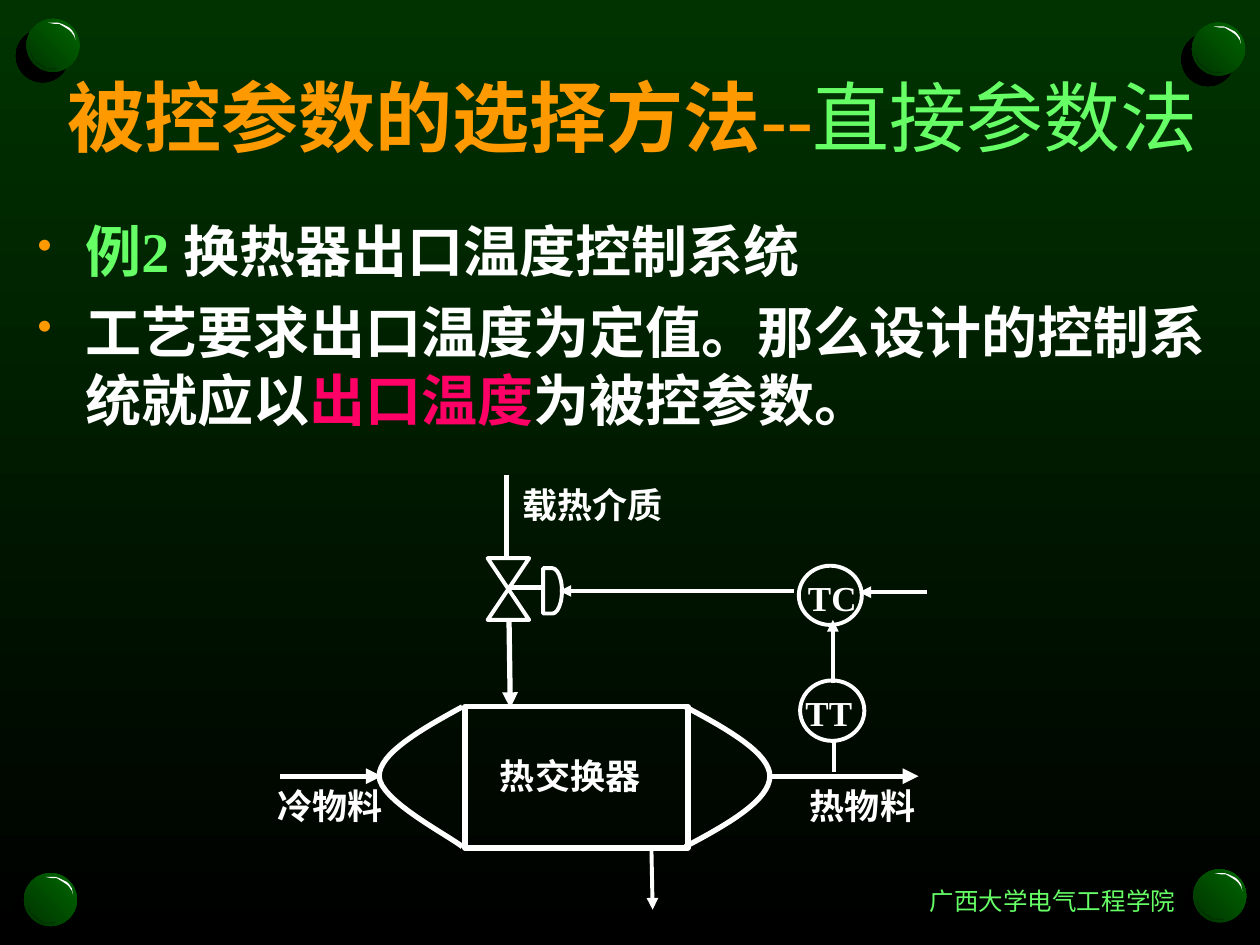
from lxml import etree
from pptx import Presentation
from pptx.dml.color import RGBColor
from pptx.enum import shapes as sh, text as tx
from pptx.oxml import parse_xml
from pptx.oxml.ns import qn
from pptx.util import Inches, Pt

NS = 'xmlns:a="http://schemas.openxmlformats.org/drawingml/2006/main"'
SERIF = "Times New Roman"
WHITE, ORANGE, LIME, PINK = "FFFFFF", "FF9900", "66FF66", "FF0066"
DARK, GREEN, BLACK = "003300", "006600", "000000"
THIN, THICK = 2.25, 3
AUTO = sh.MSO_SHAPE
SHINE = [(.17, .03), (.25, .03), (.28, .04), (.3, .05), (.34, .07), (.36, .09),
         (.38, .12), (.39, .17), (.38, .14), (.36, .11), (.34, .09), (.31, .07),
         (.26, .04), (.22, .04)]
SHADE = [(.26, .39), (.2, .39), (.16, .39), (.13, .37), (.1, .35), (.08, .33),
         (.06, .32), (.03, .25), (.04, .3), (.06, .33), (.08, .35), (.12, .38),
         (.15, .4), (.19, .4), (.23, .4)]


def rgb(code):
    """Turn a hex string into a colour."""
    return RGBColor.from_string(code)


def blend(fill, first, last, angle):
    """Apply a two-stop linear gradient."""
    fill.gradient()
    fill.gradient_angle = angle
    for stop, code in zip(fill.gradient_stops, (first, last)):
        stop.color.rgb = rgb(code)


def paint(shape, fill=None, width=None):
    """Give a shape a plain fill or a white outline."""
    shape.shadow.inherit = False
    if fill:
        shape.fill.solid()
        shape.fill.fore_color.rgb = rgb(fill)
    else:
        shape.fill.background()
    if width:
        shape.line.color.rgb = rgb(WHITE)
        shape.line.width = Pt(width)
    else:
        shape.line.fill.background()
    return shape


def form(slide, kind, box, fill=None, width=None):
    """Add a preset shape."""
    return paint(slide.shapes.add_shape(kind, *map(Inches, box)), fill, width)


def free(slide, dots, fill=None, width=None):
    """Add a polygon when filled, else an open path."""
    dots = [(Inches(x), Inches(y)) for x, y in dots]
    maker = slide.shapes.build_freeform(*dots[0])
    maker.add_line_segments(dots[1:], close=bool(fill))
    return paint(maker.convert_to_shape(), fill, width)


def curve(a, b, c, d, steps=16):
    """List the points of a cubic curve."""
    dots = []
    for i in range(steps + 1):
        t = i / steps
        s = 1 - t
        parts = (s ** 3, 3 * s * s * t, 3 * s * t * t, t ** 3)
        dots.append(tuple(sum(k * p[n] for k, p in zip(parts, (a, b, c, d)))
                          for n in (0, 1)))
    return dots


def line(slide, start, end, width, arrow=True):
    """Add a straight white line, with an arrowhead at its end."""
    link = slide.shapes.add_connector(
        sh.MSO_CONNECTOR.STRAIGHT, *map(Inches, (*start, *end)))
    link.line.color.rgb = rgb(WHITE)
    link.line.width = Pt(width)
    if arrow:
        etree.SubElement(link.line._get_or_add_ln(), qn("a:tailEnd"),
                         type="triangle")
    etree.SubElement(link._element.spPr, qn("a:effectLst"))


def write(para, runs, size, face=SERIF, bold=True):
    """Fill a paragraph with coloured runs."""
    para.font.size, para.font.name, para.font.bold = Pt(size), face, bold
    for words, code in runs:
        run = para.add_run()
        run.text = words
        run.font.color.rgb = rgb(code)


def frame(slide, box, wrap=True):
    """Add a text box and return its text frame."""
    area = slide.shapes.add_textbox(*map(Inches, box)).text_frame
    area.word_wrap = wrap
    return area


def label(slide, words, box):
    """Add a diagram label."""
    write(frame(slide, box).paragraphs[0], [(words, WHITE)], 20)


def ball(slide, left, top):
    """Add a glossy corner button with a hard shadow."""
    disc = form(slide, AUTO.OVAL, (left, top, .42, .42), GREEN)
    blend(disc.fill, DARK, GREEN, 45)
    disc._element.spPr.find(qn("a:effectLst")).append(parse_xml(
        f'<a:outerShdw {NS} dist="{Pt(8.5)}" dir="8100000" algn="ctr" '
        f'rotWithShape="0"><a:srgbClr val="{BLACK}"/></a:outerShdw>'))
    for dots, code in ((SHINE, WHITE), (SHADE, DARK)):
        free(slide, [(left + x, top + y) for x, y in dots], code)


def head(slide):
    """Format the title and bring it above the buttons."""
    title = slide.shapes.title
    title.left, title.top, title.width, title.height = map(
        Inches, (.21, .25, 9.63, 1.33))
    area = title.text_frame
    area.auto_size = tx.MSO_AUTO_SIZE.NONE
    area.vertical_anchor = tx.MSO_ANCHOR.MIDDLE
    para = area.paragraphs[0]
    para.alignment = tx.PP_ALIGN.CENTER
    write(para, [("被控参数的选择方法--", ORANGE), ("直接参数法", LIME)], 44)
    para.runs[1].font.bold = False
    slide.shapes._spTree.append(title._element)


def body(slide):
    """Add the two bulleted statements."""
    area = frame(slide, (.2, 1.67, 9.64, 1.93))
    items = ([("例2 ", LIME), ("换热器出口温度控制系统", WHITE)],
             [("工艺要求出口温度为定值。那么设计的控制系统就应以", WHITE),
              ("出口温度", PINK), ("为被控参数。", WHITE)])
    for i, runs in enumerate(items):
        para = area.add_paragraph() if i else area.paragraphs[0]
        props = para._p.get_or_add_pPr()
        props.set("marL", str(Inches(.38)))
        props.set("indent", str(-Inches(.38)))
        for part in (f'<a:buClr {NS}><a:srgbClr val="{ORANGE}"/></a:buClr>',
                     f'<a:buSzPct {NS} val="75000"/>',
                     f'<a:buChar {NS} char="•"/>'):
            props.append(parse_xml(part))
        if i:
            para.space_before = Pt(8)
        write(para, runs, 32)


def plant(slide):
    """Draw the heat exchanger and its temperature loop."""
    top, mid, low = 5.61, 6.16, 6.72
    line(slide, (6.12, mid), (7.29, mid), THICK)
    line(slide, (2.22, mid), (3.03, mid), THICK)
    line(slide, (4.04, 4.92), (4.05, 5.62), THICK)
    line(slide, (5.17, low), (5.18, 7.22), THIN)
    line(slide, (4.02, 3.77), (4.02, 4.43), THICK, False)
    line(slide, (4.02, 4.66), (4.31, 4.66), THICK, False)
    line(slide, (6.3, 4.69), (4.44, 4.69), THIN)
    line(slide, (7.36, 4.7), (6.82, 4.7), THIN)
    line(slide, (6.61, 5.42), (6.61, 4.92), THIN)
    line(slide, (6.62, 5.89), (6.62, 6.13), THIN, False)
    form(slide, AUTO.FLOWCHART_COLLATE, (3.87, 4.43, .33, .49), width=THIN)
    form(slide, AUTO.FLOWCHART_DELAY, (4.31, 4.51, .15, .36), width=THIN)
    form(slide, AUTO.RECTANGLE, (3.69, top, 1.77, 1.12), width=THICK)
    form(slide, AUTO.OVAL, (6.35, 5.4, .51, .48), width=THIN)
    form(slide, AUTO.OVAL, (6.34, 4.49, .5, .47), width=THIN)
    left = (curve((3.67, top), (3.34, 5.79), (3.01, 5.98), (3.01, mid))
            + curve((3.01, mid), (3.01, 6.35), (3.56, 6.63), (3.67, low))[1:])
    right = (curve((5.44, top), (5.78, 5.79), (6.11, 5.98), (6.11, mid))
             + curve((6.11, mid), (6.11, 6.35), (5.78, 6.54), (5.44, low))[1:])
    for side in (left, right):
        free(slide, side, width=THICK)
    for words, box in (("载热介质", (4.05, 3.79, 1.45, .48)),
                       ("冷物料", (2.1, 6.18, 1.18, .48)),
                       ("热物料", (6.33, 6.18, 1.23, .48)),
                       ("热交换器", (3.87, 5.94, 1.46, .44)),
                       (" TT", (6.23, 5.44, .74, .42)),
                       (" TC", (6.25, 4.53, .73, .41))):
        label(slide, words, box)


def main():
    """Build and save the slide."""
    deck = Presentation()
    deck.slide_width, deck.slide_height = Inches(10), Inches(7.5)
    slide = deck.slides.add_slide(deck.slide_layouts[5])
    blend(slide.background.fill, DARK, BLACK, 270)
    form(slide, AUTO.OVAL, (9.74, .15, .06, .06), DARK)
    for spot in ((.21, .15), (9.46, .18), (9.47, 6.9), (.19, 6.93)):
        ball(slide, *spot)
    foot = frame(slide, (7.28, 6.98, 2.15, .34), False)
    write(foot.paragraphs[0], [("广西大学电气工程学院", LIME)], 14,
          "Roboto Condensed", False)
    head(slide)
    body(slide)
    plant(slide)
    deck.save("out.pptx")


if __name__ == "__main__":
    main()
